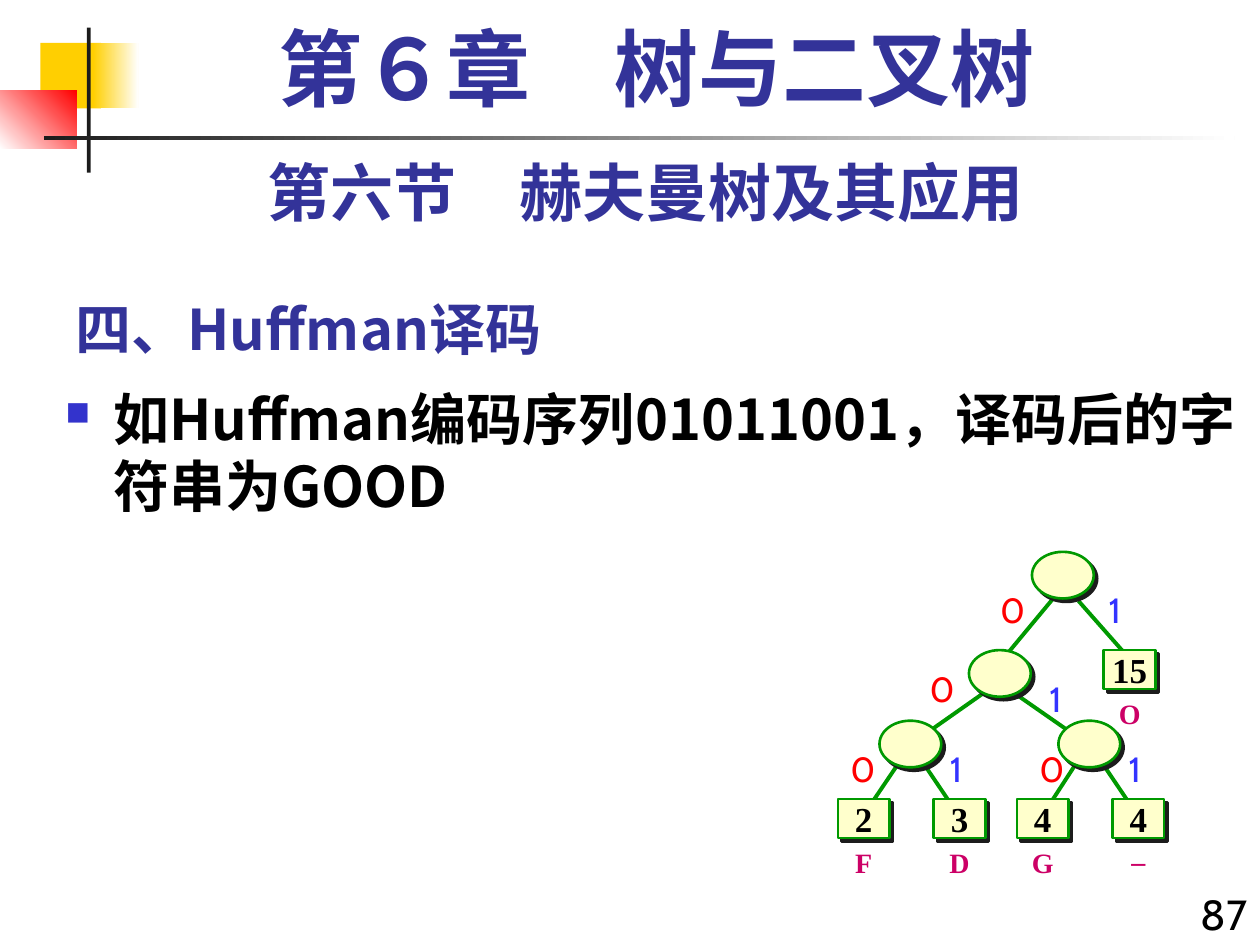
from lxml.etree import SubElement
from pptx import Presentation
from pptx.dml.color import RGBColor
from pptx.enum.shapes import MSO_CONNECTOR, MSO_SHAPE
from pptx.enum.text import MSO_ANCHOR, PP_ALIGN
from pptx.oxml.ns import qn
from pptx.util import Inches, Pt

WHITE = RGBColor(0xFF, 0xFF, 0xFF)
BLACK = RGBColor(0x00, 0x00, 0x00)
DARK = RGBColor(0x1C, 0x1C, 0x1C)
GOLD = RGBColor(0xFF, 0xCF, 0x01)
RED = RGBColor(0xFF, 0x00, 0x00)
NAVY = RGBColor(0x33, 0x33, 0x99)
GREEN = RGBColor(0x00, 0x99, 0x00)
CREAM = RGBColor(0xFF, 0xFF, 0xCC)
BLUE = RGBColor(0x33, 0x33, 0xFF)
MAGENTA = RGBColor(0xCC, 0x00, 0x66)

SANS = "Noto Sans CJK SC"
CABIN = "Cabin"
SERIF = "Times New Roman"

NODE_SIZE = (0.49, 0.37)
LEAF_SIZE = (0.41, 0.31)

# Inner nodes: left, top
NODES = [(8.19, 4.38), (7.69, 5.16), (6.98, 5.72), (8.4, 5.72)]
# Leaves: left, top, weight, character, drop of the character below the centre
LEAVES = [
    (8.76, 5.16, "15", "O", 0.35),
    (6.65, 6.34, "2", "F", 0.35),
    (7.41, 6.34, "3", "D", 0.35),
    (8.07, 6.34, "4", "G", 0.35),
    (8.83, 6.34, "4", "_", 0.26),
]
# Branches: start, end, bit, left and top of the bit label
BRANCHES = [
    ((8.4, 4.7), (8.01, 5.17), "0", (7.84, 4.62)),
    ((8.56, 4.77), (9.01, 5.28), "1", (8.7, 4.62)),
    ((7.85, 5.47), (7.38, 5.8), "0", (7.28, 5.25)),
    ((8.02, 5.48), (8.48, 5.8), "1", (8.23, 5.33)),
    ((7.15, 6.03), (6.9, 6.4), "0", (6.65, 5.88)),
    ((7.31, 6.03), (7.56, 6.4), "1", (7.44, 5.88)),
    ((8.56, 6.03), (8.32, 6.4), "0", (8.15, 5.88)),
    ((8.73, 6.03), (8.98, 6.4), "1", (8.86, 5.88)),
]


def add_text(shapes, area, text, size, font, color, bold=True,
             align=PP_ALIGN.LEFT, anchor=MSO_ANCHOR.TOP, wrap=True):
    box = shapes.add_textbox(*map(Inches, area))
    frame = box.text_frame
    frame.word_wrap = wrap
    frame.vertical_anchor = anchor
    para = frame.paragraphs[0]
    para.alignment = align
    span = para.add_run()
    span.text = text
    span.font.size = Pt(size)
    span.font.name = font
    span.font.bold = bold
    span.font.color.rgb = color
    SubElement(span.font._element, qn("a:ea"), typeface=SANS)
    return para


def add_centred_text(shapes, centre_x, centre_y, text, size, color):
    width, height = 0.48, 0.43
    area = (centre_x - width / 2, centre_y - height / 2, width, height)
    add_text(shapes, area, text, size, SERIF, color, align=PP_ALIGN.CENTER,
             anchor=MSO_ANCHOR.MIDDLE, wrap=False)


def add_bullet(para, color):
    properties = para._p.get_or_add_pPr()
    properties.set("marL", str(Inches(0.38)))
    properties.set("indent", str(-Inches(0.38)))
    bullet_color = SubElement(properties, qn("a:buClr"))
    SubElement(bullet_color, qn("a:srgbClr"), val=color)
    SubElement(properties, qn("a:buSzPct"), val="60000")
    SubElement(properties, qn("a:buChar"), char="■")


def add_block(shapes, area, start, end=None, angle=0):
    block = shapes.add_shape(MSO_SHAPE.RECTANGLE, *map(Inches, area))
    block.shadow.inherit = False
    block.line.fill.background()
    if end is None:
        block.fill.solid()
        block.fill.fore_color.rgb = start
    else:
        block.fill.gradient()
        block.fill.gradient_angle = angle
        for stop, color in zip(block.fill.gradient_stops, (start, end)):
            stop.color.rgb = color


def add_tree_shape(shapes, kind, corner, size):
    shape = shapes.add_shape(kind, *map(Inches, corner + size))
    shape.fill.solid()
    shape.fill.fore_color.rgb = CREAM
    shape.line.color.rgb = GREEN
    shape.line.width = Pt(1.5)
    # Hard shadow to the lower right
    shape.shadow.inherit = False
    effects = shape._element.spPr.find(qn("a:effectLst"))
    shadow = SubElement(effects, qn("a:outerShdw"), dist=str(Pt(2.8)),
                        dir=str(45 * 60000), algn="ctr", rotWithShape="0")
    SubElement(shadow, qn("a:srgbClr"), val=str(DARK))


def add_branch(shapes, start, end):
    branch = shapes.add_connector(MSO_CONNECTOR.STRAIGHT,
                                  *map(Inches, start + end))
    branch.line.color.rgb = GREEN
    branch.line.width = Pt(2.25)
    SubElement(branch._element.spPr, qn("a:effectLst"))


def add_decoration(shapes):
    add_block(shapes, (0.32, 0.34, 0.48, 0.52), GOLD)
    add_block(shapes, (0.74, 0.34, 0.36, 0.52), GOLD, WHITE)
    add_block(shapes, (0, 0.72, 0.61, 0.46), WHITE, RED, 45)
    add_block(shapes, (0.69, 0.22, 0.03, 1.15), DARK)
    add_block(shapes, (0.35, 1.08, 9.45, 0.03), DARK, WHITE)


def add_huffman_tree(shapes):
    for start, end, _, _ in BRANCHES:
        add_branch(shapes, start, end)
    for corner in NODES:
        add_tree_shape(shapes, MSO_SHAPE.OVAL, corner, NODE_SIZE)
    for left, top, weight, character, drop in LEAVES:
        add_tree_shape(shapes, MSO_SHAPE.RECTANGLE, (left, top), LEAF_SIZE)
        centre_x = left + LEAF_SIZE[0] / 2
        centre_y = top + LEAF_SIZE[1] / 2
        add_centred_text(shapes, centre_x, centre_y, weight, 20, BLACK)
        add_centred_text(shapes, centre_x, centre_y + drop, character, 16, MAGENTA)
    for _, _, bit, corner in BRANCHES:
        add_text(shapes, corner + (0.47, 0.43), bit, 20, CABIN,
                 RED if bit == "0" else BLUE, bold=False)


def main():
    deck = Presentation()
    deck.slide_width, deck.slide_height = Inches(10), Inches(7.5)
    page = deck.slides.add_slide(deck.slide_layouts[6])
    shapes = page.shapes
    add_decoration(shapes)

    # Headings
    chapter = add_text(shapes, (0.67, 0.17, 9.08, 0.83), "第６章\u3000树与二叉树".replace("\u3000", "　"),
                       48, SERIF, NAVY, align=PP_ALIGN.CENTER)
    chapter.line_spacing = 0.9
    add_text(shapes, (0.5, 1.17, 9.25, 0.7), "第六节　赫夫曼树及其应用",
             36, CABIN, NAVY, align=PP_ALIGN.CENTER)
    add_text(shapes, (0.5, 2.17, 6.25, 0.75), "四、Huffman译码",
             32, SANS, NAVY, anchor=MSO_ANCHOR.BOTTOM)

    # Body
    body = add_text(shapes, (0.42, 3, 9.58, 4.5),
                    "如Huffman编码序列01011001，译码后的字符串为GOOD",
                    32, SANS, BLACK)
    add_bullet(body, "3333CC")

    # Tree and page number
    add_huffman_tree(shapes.add_group_shape().shapes)
    add_text(shapes, (9.33, 7, 0.67, 0.5), "87", 24, CABIN, BLACK,
             bold=False, align=PP_ALIGN.RIGHT)

    deck.save("out.pptx")


if __name__ == "__main__":
    main()
